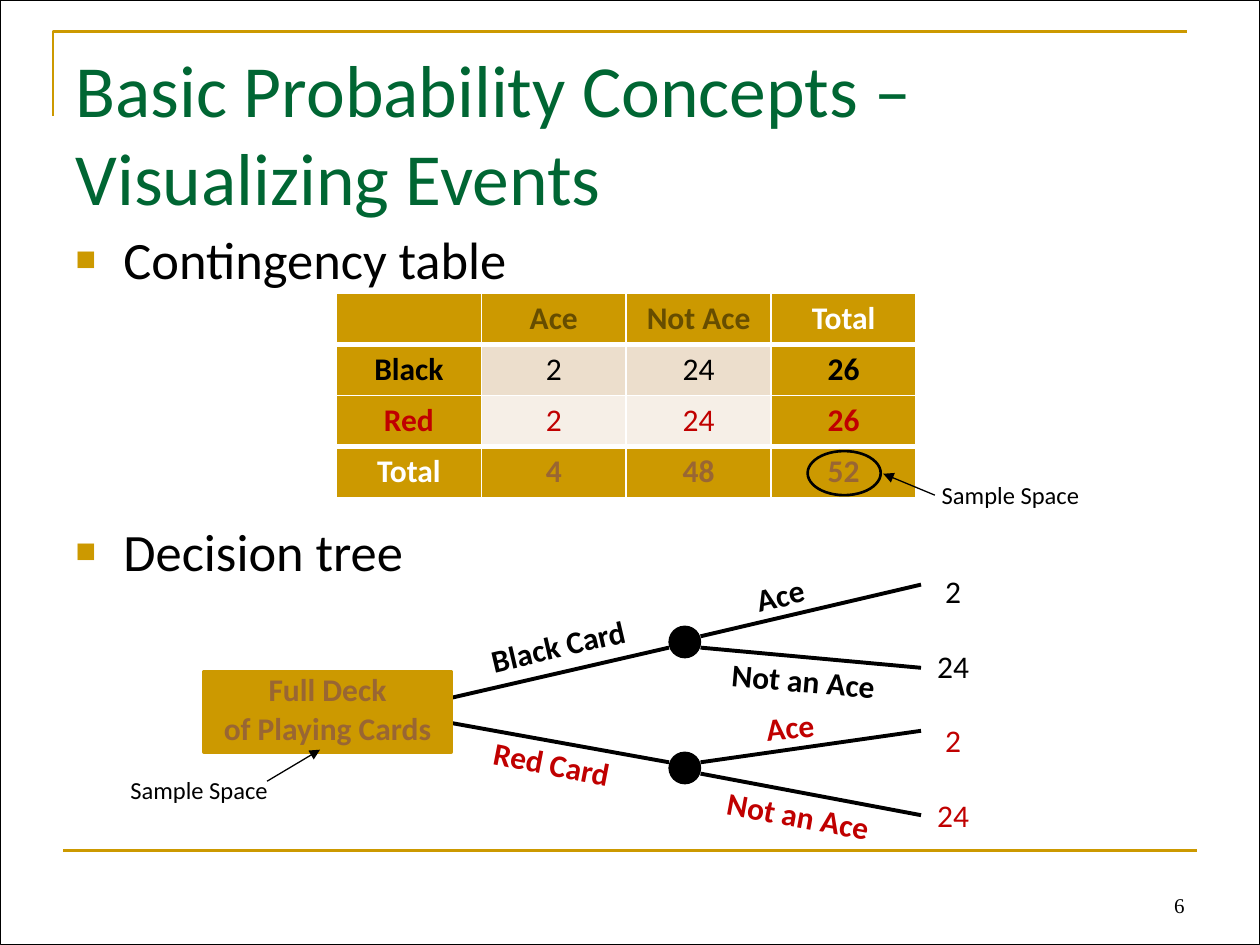
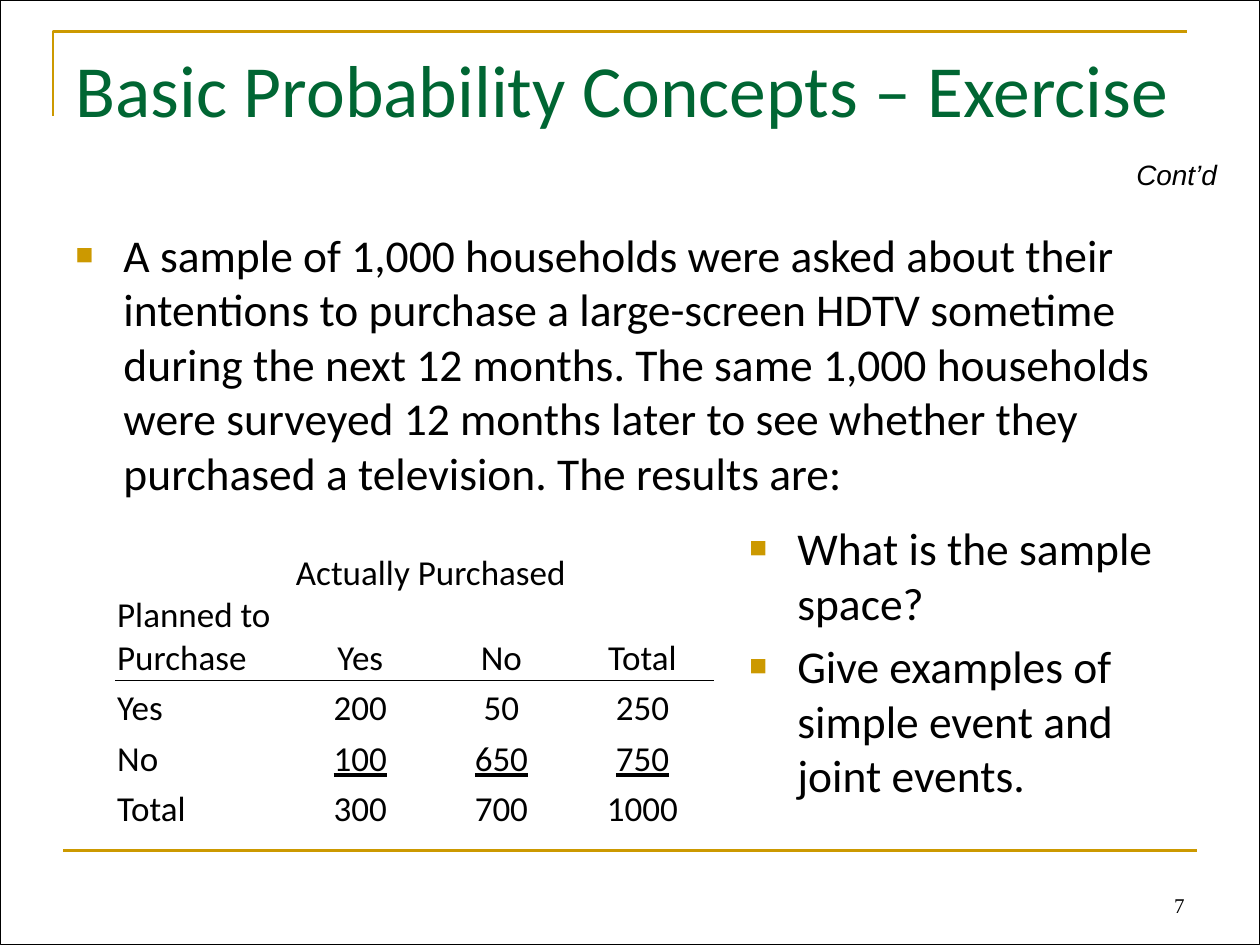
from lxml.etree import SubElement
from pptx import Presentation
from pptx.dml.color import RGBColor
from pptx.enum.shapes import MSO_CONNECTOR, MSO_SHAPE
from pptx.enum.text import MSO_ANCHOR, MSO_AUTO_SIZE, PP_ALIGN
from pptx.oxml.ns import qn
from pptx.util import Inches, Pt

COLOURS = {
    "gold": "CC9900",
    "dark gold": "664D00",
    "brown": "996633",
    "green": "006633",
    "black": "000000",
    "red": "C00000",
    "white": "FFFFFF",
    "sand": "ECDECC",
    "pale sand": "F6EFE7",
}
BULLET_INDENT = Inches(0.38)


def rgb(name):
    return RGBColor.from_string(COLOURS[name])


def inches(values):
    return [Inches(value) for value in values]


def format_runs(paragraph, size, colour="black", font="Calibri", bold=False, italic=False):
    for span in paragraph.runs:
        span.font.name = font
        span.font.size = Pt(size)
        span.font.bold = bold
        span.font.italic = italic
        span.font.color.rgb = rgb(colour)


def set_line(shape, colour, width):
    shape.line.color.rgb = rgb(colour)
    shape.line.width = Pt(width)


def add_outline(slide, kind, place, fill, line_colour, line_width):
    """Add a preset shape; a fill of None leaves it hollow."""
    shape = slide.shapes.add_shape(kind, *inches(place))
    shape.shadow.inherit = False
    if fill:
        shape.fill.solid()
        shape.fill.fore_color.rgb = rgb(fill)
    else:
        shape.fill.background()
    set_line(shape, line_colour, line_width)
    return shape


def add_line(slide, start, end, colour="black", width=2.25, arrow=False):
    line = slide.shapes.add_connector(MSO_CONNECTOR.STRAIGHT, *inches(start + end))
    set_line(line, colour, width)
    properties = line._element.spPr
    if arrow:
        SubElement(properties.find(qn("a:ln")), qn("a:tailEnd"), type="triangle")
    SubElement(properties, qn("a:effectLst"))


def add_label(slide, place, text, size=18, align=PP_ALIGN.CENTER, rotation=0, spacing=1.0, **style):
    box = slide.shapes.add_textbox(*inches(place))
    box.rotation = rotation
    frame = box.text_frame
    frame.word_wrap = True
    frame.text = text
    for para in frame.paragraphs:
        para.alignment = align
        para.line_spacing = spacing
        format_runs(para, size, **style)
    return box


def add_frame(slide, number):
    corner = slide.shapes.build_freeform(Inches(0.42), Inches(0.92))
    corner.add_line_segments([inches((0.42, 0.25)), inches((9.42, 0.25))], close=False)
    shape = corner.convert_to_shape()
    shape.shadow.inherit = False
    shape.fill.background()
    set_line(shape, "gold", 1.5)
    add_line(slide, (0.5, 6.75), (9.5, 6.75), "gold", 1.5)
    add_outline(slide, MSO_SHAPE.RECTANGLE, (0, 0, 10, 7.5), None, "black", 0.5)
    box = add_label(slide, (7.17, 6.83, 2.33, 0.5), str(number), 12, PP_ALIGN.RIGHT,
                    font="Times New Roman")
    box.text_frame.vertical_anchor = MSO_ANCHOR.BOTTOM


def place_shape(shape, place):
    shape.left, shape.top, shape.width, shape.height = inches(place)


def fill_bullets(frame, items, size, gap):
    """Write a square-bulleted list with gap points between its items."""
    frame.word_wrap = True
    frame.auto_size = MSO_AUTO_SIZE.NONE
    frame.text = "\n".join(items)
    for index, para in enumerate(frame.paragraphs):
        para.space_before = Pt(gap if index else 0)
        properties = para._p.get_or_add_pPr()
        properties.set("marL", str(BULLET_INDENT))
        properties.set("indent", str(-BULLET_INDENT))
        colour = SubElement(properties, qn("a:buClr"))
        SubElement(colour, qn("a:srgbClr"), val=COLOURS["gold"])
        SubElement(properties, qn("a:buSzPct"), val="65000")
        SubElement(properties, qn("a:buFont"), typeface="Arial")
        SubElement(properties, qn("a:buChar"), char="■")
        format_runs(para, size)


def add_page(deck, number, title, bullets, size, gap=0):
    page = deck.slides.add_slide(deck.slide_layouts[1])
    heading, body = page.placeholders
    place_shape(heading, (0.5, 0.3, 9, 1.25))
    frame = heading.text_frame
    frame.text = title
    frame.vertical_anchor = MSO_ANCHOR.TOP
    frame.auto_size = MSO_AUTO_SIZE.NONE
    frame.paragraphs[0].alignment = PP_ALIGN.LEFT
    format_runs(frame.paragraphs[0], 42, "green")
    place_shape(body, (0.5, 1.75, 9, 4.95))
    fill_bullets(body.text_frame, bullets, size, gap)
    add_frame(page, number)
    return page


def add_plain_table(slide, place, row_count, widths):
    table = slide.shapes.add_table(row_count, len(widths), *inches(place)).table
    table.first_row = table.horz_banding = False
    for column, width in zip(table.columns, widths):
        column.width = Inches(width)
    return table


def set_borders(cell, colour, **widths):
    """Draw cell borders, given as L, R, T and B widths in that order."""
    for side, width in widths.items():
        border = SubElement(cell._tc.get_or_add_tcPr(), qn("a:ln" + side), w=str(Pt(width)))
        fill = SubElement(border, qn("a:solidFill"))
        SubElement(fill, qn("a:srgbClr"), val=COLOURS[colour])


def write_cell(cell, text, size, align=PP_ALIGN.CENTER, **style):
    cell.text = text
    para = cell.text_frame.paragraphs[0]
    para.alignment = align
    format_runs(para, size, **style)


def add_contingency_table(slide):
    rows = [
        (["", "Ace", "Not Ace", "Total"], ["dark gold"] * 3 + ["white"], "gold"),
        (["Black", "2", "24", "26"], ["black"] * 4, "sand"),
        (["Red", "2", "24", "26"], ["red"] * 4, "pale sand"),
        (["Total", "4", "48", "52"], ["white"] + ["brown"] * 3, "gold"),
    ]
    last = len(rows) - 1
    table = add_plain_table(slide, (2.67, 2.33, 4.6, 1.62), len(rows), [1.15] * 4)
    for row, (texts, colours, inner_fill) in enumerate(rows):
        for column, (text, colour) in enumerate(zip(texts, colours)):
            cell = table.cell(row, column)
            fill = "gold" if column in (0, 3) else inner_fill
            write_cell(cell, text, 18, colour=colour, bold=fill == "gold")
            set_borders(cell, "white", L=1, R=1,
                        T=3 if row in (1, last) else 1,
                        B=3 if row in (0, last - 1) else 1)
            cell.fill.solid()
            cell.fill.fore_color.rgb = rgb(fill)


def add_survey_table(slide):
    rows = [
        ["Planned to Purchase", "Actually Purchased", "", ""],
        ["", "Yes", "No", "Total"],
        ["Yes", "200", "50", "250"],
        ["No", "100", "650", "750"],
        ["Total", "300", "700", "1000"],
    ]
    table = add_plain_table(slide, (0.92, 4.31, 4.74, 2), len(rows), [1.38] + [1.12] * 3)
    table.cell(0, 0).merge(table.cell(1, 0))
    table.cell(0, 1).merge(table.cell(0, 2))
    for row, texts in enumerate(rows):
        table.rows[row].height = Inches(0.4 if row else 0.41)
        for column, text in enumerate(texts):
            cell = table.cell(row, column)
            cell.margin_left = cell.margin_right = cell.margin_top = Inches(0.01)
            cell.margin_bottom = 0
            cell.vertical_anchor = MSO_ANCHOR.BOTTOM
            if not cell.is_spanned:
                write_cell(cell, text, 20, PP_ALIGN.CENTER if column else PP_ALIGN.LEFT)
            if row == 3 and column:
                cell.text_frame.paragraphs[0].runs[0].font.underline = True
            if row == 1 or (row, column) == (0, 0):
                set_borders(cell, "black", B=0.5)
            elif row == 2:
                set_borders(cell, "black", T=0.5)
            cell.fill.background()


def add_sample_space_note(slide, place, start, end):
    add_label(slide, place, "Sample Space", 14)
    add_line(slide, start, end, width=0.75, arrow=True)


def add_decision_tree(slide):
    branches = [
        ((3.53, 5.55), (5.31, 5.14)),
        ((3.48, 5.72), (5.31, 6.05)),
        ((5.56, 5.05), (7.31, 4.64)),
        ((5.56, 5.14), (7.31, 5.3)),
        ((5.56, 6.05), (7.31, 5.8)),
        ((5.56, 6.14), (7.31, 6.47)),
    ]
    for start, end in branches:
        add_line(slide, start, end)

    root = add_outline(slide, MSO_SHAPE.RECTANGLE, (1.62, 5.33, 1.96, 0.64), "gold", "gold", 2.25)
    frame = root.text_frame
    frame.vertical_anchor = MSO_ANCHOR.TOP
    frame.text = "Full Deck\nof Playing Cards"
    for para, spacing, gap in zip(frame.paragraphs, (0.8, 0.5), (0, 10)):
        para.alignment = PP_ALIGN.CENTER
        para.line_spacing = spacing
        para.space_before = Pt(gap)
        format_runs(para, 18, "brown", bold=True)

    branch_labels = [
        ("Black Card", (3.56, 4.98, 1.75, 0.34), 346.9, 0.8, "black"),
        ("Red Card", (3.58, 5.94, 1.58, 0.32), 11.1, 0.7, "red"),
        ("Ace", (5.73, 4.52, 0.92, 0.4), 346.5, 1.0, "black"),
        ("Not an Ace", (5.46, 5.2, 1.83, 0.43), 4.9, 1.0, "black"),
        ("Ace", (5.73, 5.57, 1.08, 0.4), 354.1, 1.0, "red"),
        ("Not an Ace", (5.42, 6.27, 1.83, 0.4), 10.6, 1.0, "red"),
    ]
    for text, place, rotation, spacing, colour in branch_labels:
        add_label(slide, place, text, rotation=rotation, spacing=spacing, colour=colour, bold=True)

    for top in (4.97, 5.97):
        add_outline(slide, MSO_SHAPE.OVAL, (5.31, top, 0.25, 0.25), "black", "black", 0.75)

    counts = add_label(slide, (7.23, 4.37, 0.67, 2.3), "2\n24\n2\n24", spacing=1.4)
    for index, para in enumerate(counts.text_frame.paragraphs):
        para.space_before = Pt(12.5 if index else 0)
        format_runs(para, 18, "black" if index < 2 else "red")


def main():
    deck = Presentation()
    deck.slide_width, deck.slide_height = Inches(10), Inches(7.5)

    events = add_page(deck, 6, "Basic Probability Concepts –\vVisualizing Events",
                      ["Contingency table", "Decision tree"], 30, gap=131)
    add_contingency_table(events)
    add_outline(events, MSO_SHAPE.OVAL, (6.41, 3.58, 0.58, 0.35), None, "black", 1.5)
    add_sample_space_note(events, (7.04, 3.76, 1.96, 0.33), (7.42, 3.93), (7.01, 3.76))
    add_decision_tree(events)
    add_sample_space_note(events, (0.79, 6.1, 1.58, 0.33), (2.12, 6.2), (2.54, 5.95))

    exercise = add_page(deck, 7, "Basic Probability Concepts – Exercise", [
        "A sample of 1,000 households were asked about their intentions to purchase "
        "a large-screen HDTV sometime during the next 12 months. The same 1,000 "
        "households were surveyed 12 months later to see whether they purchased "
        "a television. The results are:"], 26)
    add_survey_table(exercise)
    questions = exercise.shapes.add_textbox(*inches((5.85, 4.08, 3.5, 2.95)))
    fill_bullets(questions.text_frame, [
        "What is the sample space?",
        "Give examples of simple event and joint events."], 26, gap=5)
    add_label(exercise, (8.92, 1.2, 1, 0.37), "Cont’d", 16, PP_ALIGN.LEFT,
              font="Arial", italic=True)

    deck.save("out.pptx")


if __name__ == "__main__":
    main()
